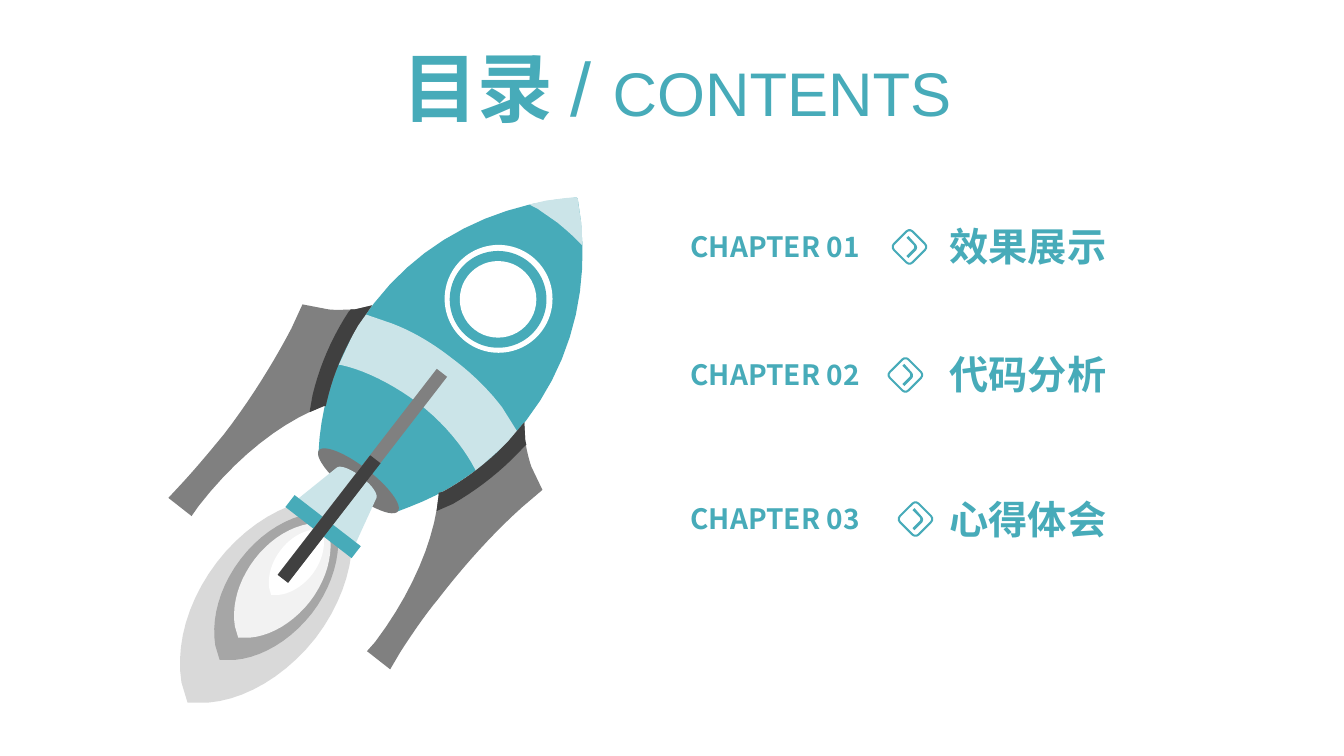
"""Build the contents slide with a rocket and three chapters."""
from pptx import Presentation
from pptx.dml.color import RGBColor
from pptx.enum.shapes import MSO_SHAPE
from pptx.enum.text import PP_ALIGN
from pptx.oxml.ns import qn
from pptx.util import Pt
from lxml.etree import SubElement

PX = 9144
TILT = 37.7
STEPS = 10
SANS = "Noto Sans CJK SC"
TEAL = RGBColor(0x47, 0xAB, 0xB9)
PALE = RGBColor(0xCB, 0xE4, 0xE8)
WHITE = RGBColor(0xFF, 0xFF, 0xFF)
SNOW = RGBColor(0xF2, 0xF2, 0xF2)
MIST = RGBColor(0xD9, 0xD9, 0xD9)
ASH = RGBColor(0xA6, 0xA6, 0xA6)
GREY = RGBColor(0x80, 0x80, 0x80)
SMOKE = RGBColor(0x79, 0x79, 0x79)
DARK = RGBColor(0x40, 0x40, 0x40)

deck = Presentation()
deck.slide_width, deck.slide_height = 1333 * PX, 750 * PX
slide = deck.slides.add_slide(deck.slide_layouts[6])
shapes = slide.shapes


def outline(color, nodes, x=0, y=0, zoom=1):
    """Fill an outline whose pairs are lines and whose sixes are curves."""
    dots = [nodes[0]]
    for node in nodes[1:]:
        if len(node) == 2:
            dots.append(node)
            continue
        ends = [dots[-1], node[:2], node[2:4], node[4:]]
        for step in range(1, STEPS + 1):
            t = step / STEPS
            parts = ((1 - t) ** 3, 3 * t * (1 - t) ** 2, 3 * t * t * (1 - t), t ** 3)
            dots.append(tuple(sum(p * e[axis] for p, e in zip(parts, ends)) for axis in (0, 1)))
    spots = [((x + a * zoom) * PX, (y + b * zoom) * PX) for a, b in dots]
    pen = shapes.build_freeform(*spots[0], scale=1.0)
    pen.add_line_segments(spots[1:], close=True)
    shape = pen.convert_to_shape()
    shape.shadow.inherit = False
    shape.fill.solid()
    shape.fill.fore_color.rgb = color
    shape.line.fill.background()


def label(box, runs, align=PP_ALIGN.LEFT):
    """Place one line of teal text made of (words, size, font, bold) runs."""
    frame = shapes.add_textbox(*(side * PX for side in box)).text_frame
    frame.word_wrap = True
    line = frame.paragraphs[0]
    line.alignment = align
    for words, size, face, bold in runs:
        run = line.add_run()
        run.text = words
        font = run.font
        font.size, font.name, font.bold = Pt(size), face, bold
        font.color.rgb = TEAL
        SubElement(run._r.get_or_add_rPr(), qn("a:ea")).set("typeface", SANS)


label((330, 36, 683, 101),
      [("目录 ", 54, "Arial", True), ("/ ", 54, "Arial", False), ("CONTENTS", 44, "Arial", False)],
      PP_ALIGN.CENTER)

ARROW = [(-1, -11), (6, -3), (8, -1, 8, 2, 6, 4), (-1, 11), (-3, 9),
         (4, 2), (5, 1, 5, -1, 4, -2), (-3, -9)]
chapters = [("01", "效果展示", 902, 245), ("02", "代码分析", 898, 372), ("03", "心得体会", 908, 515)]
for number, topic, x, y in chapters:
    label((675, y - 22, 198, 44), [("CHAPTER " + number, 20, SANS, True)])
    label((932, y - 29, 231, 57), [(topic, 28, SANS, True)])
    frame = shapes.add_shape(MSO_SHAPE.ROUNDED_RECTANGLE, (x - 13) * PX, (y - 13) * PX, 26 * PX, 26 * PX)
    frame.rotation = 45
    frame.adjustments[0] = 0.16
    frame.shadow.inherit = False
    frame.fill.background()
    frame.line.color.rgb = TEAL
    frame.line.width = 2 * PX
    outline(TEAL, ARROW, x, y)

HULL = [(572, 196), (573, 197), (587, 274, 571, 354, 522, 417), (491, 457, 451, 486, 406, 503),
        (393, 508), (389, 509), (380, 508, 364, 500, 347, 487), (331, 475, 319, 461, 316, 452),
        (316, 448), (317, 434), (322, 386, 340, 340, 371, 301), (420, 237, 493, 202, 571, 196)]
FLAME = [(78, -102), (84, -82), (90, -45, 78, -1, 49, 37), (19, 75, -21, 98, -57, 101),
         (-78, 101), (-84, 81), (-90, 44, -78, 0, -49, -38), (-20, -76, 20, -99, 57, -102)]
BAND = [(449, 356), (468, 370, 485, 387, 498, 404), (513, 428), (510, 432),
        (506, 436, 502, 441, 497, 445), (472, 467), (471, 465), (460, 444, 441, 420, 415, 400),
        (388, 380, 361, 367, 338, 362), (336, 362), (350, 332), (353, 326, 356, 321, 360, 316),
        (363, 312), (389, 321), (410, 329, 430, 341, 449, 356)]
TIP = [(572, 196), (573, 197), (574, 206, 576, 216, 577, 226), (577, 243), (571, 237),
       (565, 231, 559, 226, 553, 221), (546, 216, 540, 212, 533, 207), (525, 203), (542, 199),
       (552, 198, 561, 196, 571, 196)]
NOZZLE = [(358, 473), (369, 481, 376, 491, 373, 495), (351, 543), (293, 497), (334, 464),
          (337, 461, 348, 465, 358, 473)]
LEFT = [(369, 303), (355, 323), (341, 347, 330, 372, 324, 399), (323, 403), (321, 403)]
RIGHT = [(520, 419), (504, 438), (485, 458, 463, 475, 439, 488), (435, 489), (435, 492)]
fins = [
    (GREY, LEFT + [(280, 418, 235, 453, 197, 502), (190, 512), (167, 494), (180, 480),
                   (194, 465, 208, 448, 222, 431), (249, 396, 271, 360, 289, 326), (300, 302),
                   (326, 307), (335, 308, 344, 307, 352, 307)]),
    (DARK, LEFT + [(307, 409), (310, 392), (317, 363, 329, 335, 346, 309), (348, 307), (352, 307)]),
    (GREY, RIGHT + [(431, 535, 409, 588, 372, 637), (364, 646), (387, 664), (397, 647),
                    (408, 630, 420, 612, 434, 595), (461, 560, 489, 529, 518, 503), (538, 486),
                    (527, 463), (524, 454, 522, 445, 521, 437)]),
    (DARK, RIGHT + [(433, 507), (449, 500), (475, 485, 499, 466, 520, 443), (522, 441), (521, 437)]),
]
flames = [(MIST, 264, 596, 1), (ASH, 274, 582, 0.72), (SNOW, 280, 576, 0.56), (WHITE, 294, 558, 0.32)]
OVAL, BAR = MSO_SHAPE.OVAL, MSO_SHAPE.RECTANGLE
solids = [
    (SMOKE, OVAL, 306, 463, 99, 28),
    (PALE, BAND),
    (PALE, TIP),
    (WHITE, OVAL, 441, 243, 107, 107),
    (TEAL, OVAL, 446, 249, 96, 96),
    (WHITE, OVAL, 456, 259, 76, 76),
    (PALE, NOZZLE),
    (TEAL, BAR, 279, 515, 83, 15),
    (GREY, BAR, 353, 343, 13, 258),
    (DARK, BAR, 320, 440, 13, 150),
]

outline(TEAL, HULL)
for color, x, y, zoom in flames:
    outline(color, FLAME, x, y, zoom)
for color, kind, *box in solids:
    if not box:
        outline(color, kind)
        continue
    part = shapes.add_shape(kind, *(side * PX for side in box))
    part.rotation = TILT
    part.shadow.inherit = False
    part.fill.solid()
    part.fill.fore_color.rgb = color
    part.line.fill.background()
for color, nodes in fins:
    outline(color, nodes)

deck.save("out.pptx")
